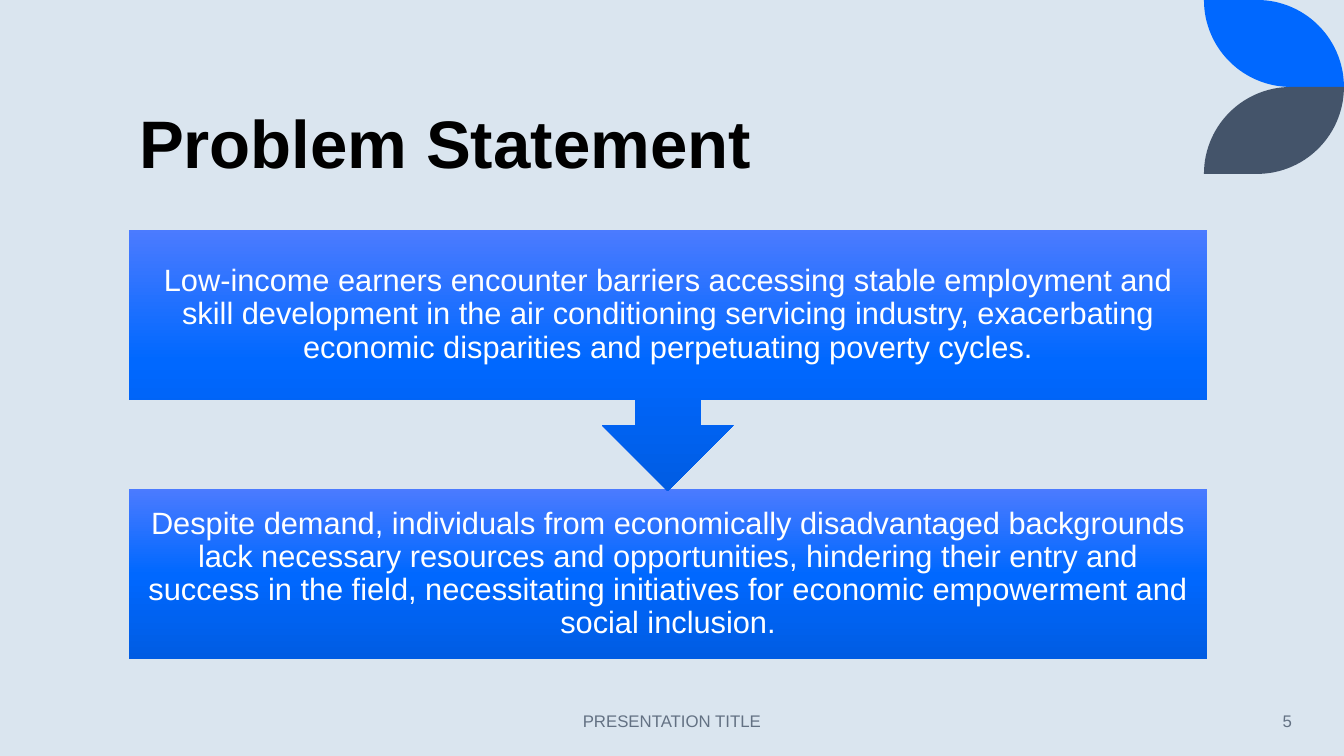
import copy
import math

import pptx
import pptx.dml.color
import pptx.enum.shapes
import pptx.enum.text
import pptx.util

EMU_PER_PX = 9144000 / 1008
W, H = 1344, 756
COLORS = {"background": "DAE5EF", "blue": "0068FF", "light": "4B7BFF",
          "deep": "005CE3", "slate": "44546A", "footer": "637183",
          "black": "000000", "white": "FFFFFF"}
SHAPE = pptx.enum.shapes.MSO_SHAPE
ANCHOR = pptx.enum.text.MSO_ANCHOR
ALIGN = pptx.enum.text.PP_ALIGN


def px(n):
    return pptx.util.Emu(round(n * EMU_PER_PX))


def rgb(name):
    return pptx.dml.color.RGBColor.from_string(COLORS[name])


def write(sp, text, size, color, align, anchor, bold=False, spacing=1.0, inset=(10, 5)):
    tf = sp.text_frame
    dx, dy = map(px, inset)
    frame = {"word_wrap": True, "auto_size": pptx.enum.text.MSO_AUTO_SIZE.NONE,
             "vertical_anchor": anchor, "margin_left": dx, "margin_right": dx,
             "margin_top": dy, "margin_bottom": dy}
    for name, value in frame.items():
        setattr(tf, name, value)
    p = tf.paragraphs[0]
    p.alignment, p.line_spacing = align, spacing
    r = p.add_run()
    r.text = text
    for name, value in {"name": "Arial", "size": pptx.util.Pt(size), "bold": bold}.items():
        setattr(r.font, name, value)
    r.font.color.rgb = rgb(color)


# Corner ornament: two mirrored petals, one above the other
def add_petal(s, x, y, w, h, color, mirrored=False):
    steps = [math.radians(a) for a in range(0, 91, 3)]
    top = [(w - h + h * math.sin(a), h - h * math.cos(a)) for a in steps]
    bottom = [(h - h * math.sin(a), h * math.cos(a)) for a in steps]
    points = [(px(x + u), px(y + (h - v if mirrored else v)))
              for u, v in [(0, 0)] + top + bottom]
    builder = s.shapes.build_freeform(*points[0])
    builder.add_line_segments(points[1:], close=True)
    sp = builder.convert_to_shape()
    sp.shadow.inherit = False
    sp.fill.solid()
    sp.fill.fore_color.rgb = rgb(color)
    sp.line.fill.background()


def add_ornament(s, x, y, w, h):
    add_petal(s, x, y, w, h // 2, "blue")
    add_petal(s, x, y + h // 2, w, h // 2, "slate", mirrored=True)


# Title
def add_title(s, x, y, w, h):
    sp = s.shapes.title
    sp.left, sp.top, sp.width, sp.height = map(px, (x, y, w, h))
    write(sp, "Problem Statement", 48, "black", ALIGN.LEFT, ANCHOR.BOTTOM, True, 0.9)


# Process: statement boxes shaded from light to deep blue
def add_statement(s, kind, text, x, y, w, h):
    sp = s.shapes.add_shape(kind, *map(px, (x, y, w, h)))
    sp.shadow.inherit = False
    sp.line.fill.background()
    sp.fill.gradient()
    sp.fill.gradient_angle = 270
    stops = sp.fill.gradient_stops
    last = sp.fill._fill._gradFill.gsLst[-1]
    last.addnext(copy.deepcopy(last))
    stops = sp.fill.gradient_stops
    for stop, position, color in zip(stops, (0, 0.5, 1), ("light", "blue", "deep")):
        stop.position = position
        stop.color.rgb = rgb(color)
    write(sp, text, 22, "white", ALIGN.CENTER, ANCHOR.MIDDLE, spacing=0.9, inset=(17, 17))


def add_process(s, x, y, w, h):
    box_h, callout_h = 170, 261
    add_statement(s, SHAPE.RECTANGLE,
                  "Despite demand, individuals from economically disadvantaged backgrounds "
                  "lack necessary resources and opportunities, hindering their entry and "
                  "success in the field, necessitating initiatives for economic empowerment "
                  "and social inclusion.", x, y + h - box_h, w, box_h)
    add_statement(s, SHAPE.DOWN_ARROW_CALLOUT,
                  "Low-income earners encounter barriers accessing stable employment and "
                  "skill development in the air conditioning servicing industry, "
                  "exacerbating economic disparities and perpetuating poverty cycles.",
                  x, y, w, callout_h)


# Footer: centred caption and page number
def add_footer(s, x, y, w, h):
    caption_w, number_w = 454, 182
    for text, left, width, align in (
            ("PRESENTATION TITLE", (W - caption_w) // 2, caption_w, ALIGN.CENTER),
            ("5", x + w - number_w, number_w, ALIGN.RIGHT)):
        sp = s.shapes.add_textbox(*map(px, (left, y, width, h)))
        write(sp, text, 12, "footer", align, ANCHOR.MIDDLE)


def main():
    prs = pptx.Presentation()
    prs.slide_width, prs.slide_height = px(W), px(H)
    s = prs.slides.add_slide(prs.slide_layouts[5])
    s.background.fill.solid()
    s.background.fill.fore_color.rgb = rgb("background")
    add_ornament(s, 1204, 0, 140, 174)
    add_title(s, 129, 15, 1078, 173)
    add_process(s, 129, 230, 1078, 429)
    add_footer(s, 129, 701, 1173, 40)
    prs.save("out.pptx")


if __name__ == "__main__":
    main()
